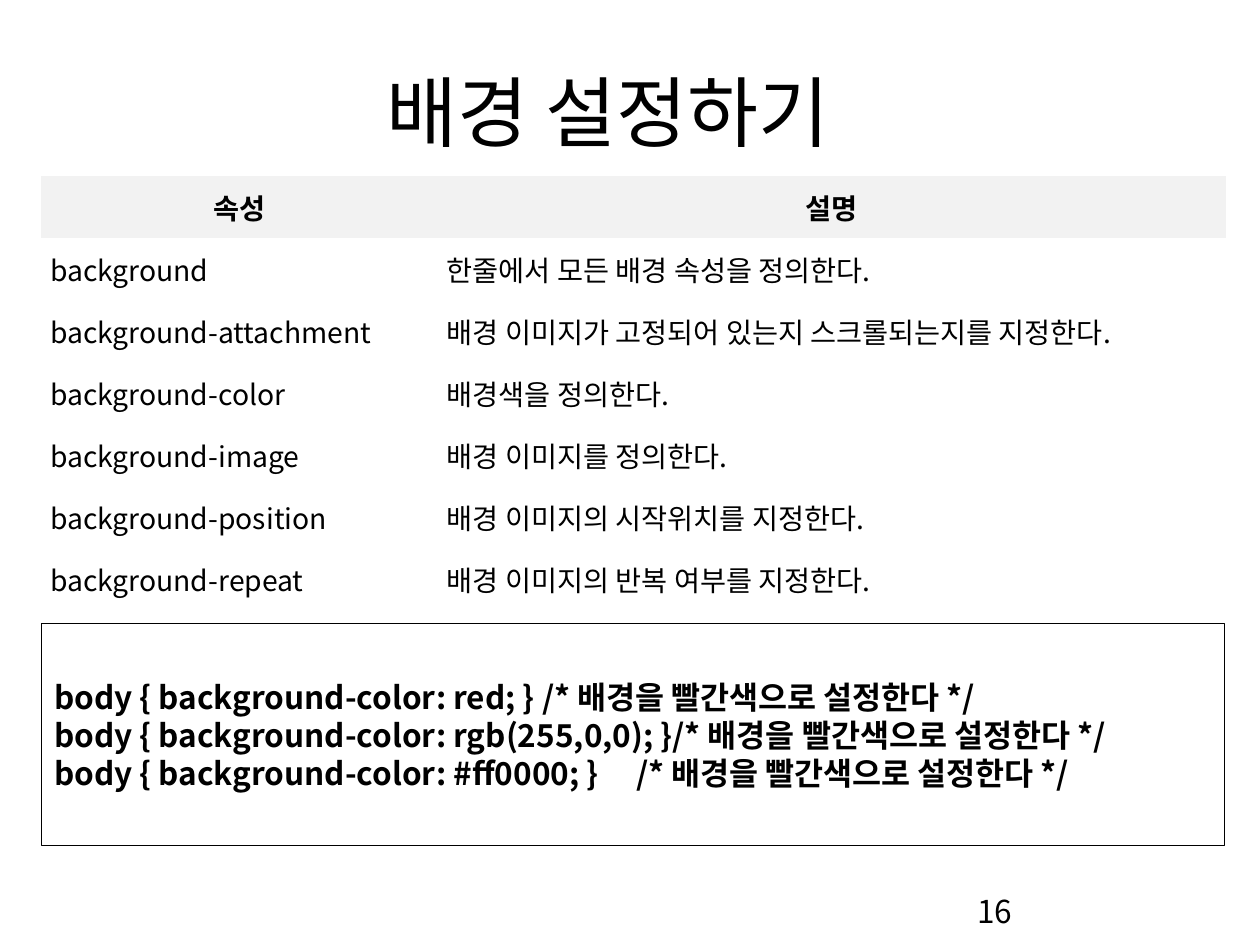
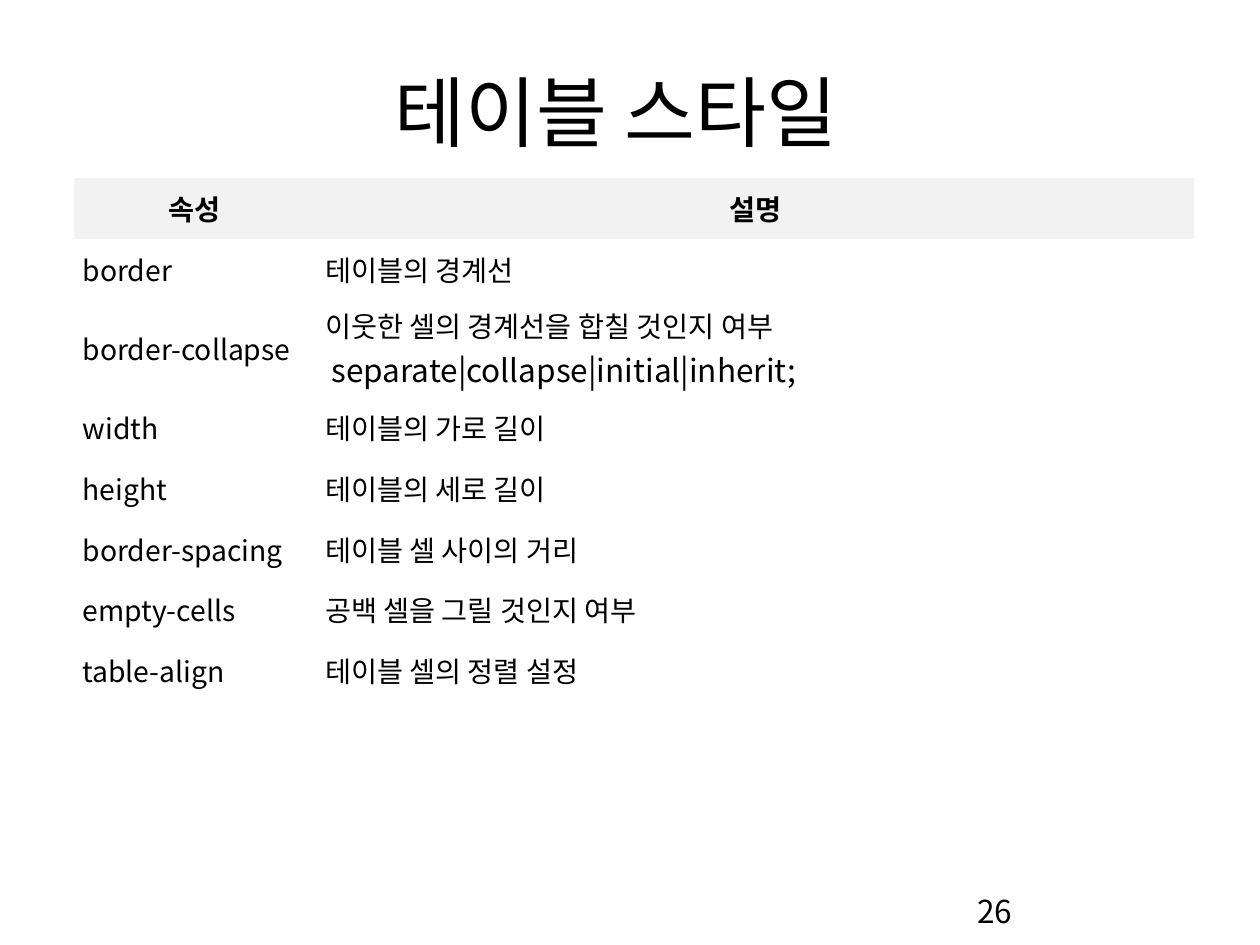
from dataclasses import dataclass

from lxml.etree import SubElement
from pptx import Presentation
from pptx.dml.color import RGBColor
from pptx.enum.shapes import MSO_SHAPE
from pptx.enum.text import MSO_ANCHOR as ANCHOR, PP_ALIGN as ALIGN
from pptx.oxml.ns import qn
from pptx.slide import Slide
from pptx.text.text import TextFrame
from pptx.util import Pt

FONT = "Noto Sans CJK KR"
COLORS = {"text": "000000", "header": "F2F2F2", "page": "FFFFFF"}
TITLE_SIZE, BODY_SIZE, CELL_SIZE = 57.2, 23.4, 21
TWO_LINE_HEIGHT = 72
NO_STYLE = "{2D5ABB26-0587-4C30-8999-92F81FD0307C}"
HEADER = ("속성", "설명")


@dataclass(frozen=True)
class Box:
    left: float
    top: float
    width: float
    height: float

    def emu(self) -> tuple[int, ...]:
        return tuple(Pt(v) for v in (self.left, self.top, self.width, self.height))


@dataclass(frozen=True)
class Run:
    text: str
    size: float = CELL_SIZE
    bold: bool = False


Lines = list[list[Run]]


@dataclass(frozen=True)
class PropertyTable:
    left: float
    top: float
    widths: tuple[float, float]
    row_height: float
    rows: list[tuple[str, str | Lines]]


@dataclass(frozen=True)
class Page:
    title: str
    number: int
    table: PropertyTable
    code: tuple[str, ...] = ()


TITLE_BOX = Box(75.6, 43.4, 763.9, 77.8)
NUMBER_BOX = Box(718.4, 658.3, 193, 43)
CODE_BOX = Box(30.8, 462.8, 878.2, 164.8)

PAGES = [
    Page(
        "배경 설정하기 ",
        16,
        PropertyTable(30.6, 130.5, (294.5, 584.6), 46.1, [
            ("background", "한줄에서 모든 배경 속성을 정의한다."),
            ("background-attachment", "배경 이미지가 고정되어 있는지 스크롤되는지를 지정한다."),
            ("background-color", "배경색을 정의한다."),
            ("background-image", "배경 이미지를 정의한다."),
            ("background-position", "배경 이미지의 시작위치를 지정한다."),
            ("background-repeat", "배경 이미지의 반복 여부를 지정한다."),
        ]),
        (
            "body { background-color: red; } /* 배경을 빨간색으로 설정한다 */",
            "body { background-color: rgb(255,0,0); }/* 배경을 빨간색으로 설정한다 */",
            "body { background-color: #ff0000; }\t/* 배경을 빨간색으로 설정한다 */",
        ),
    ),
    Page(
        "테이블 스타일",
        26,
        PropertyTable(54.7, 131.8, (180, 651.6), 45.2, [
            ("border", "테이블의 경계선"),
            ("border-collapse", [
                [Run("이웃한 셀의 경계선을 합칠 것인지 여부")],
                [Run(" "), Run("separate|collapse|initial|inherit;", BODY_SIZE)],
            ]),
            ("width", "테이블의 가로 길이"),
            ("height", "테이블의 세로 길이"),
            ("border-spacing", "테이블 셀 사이의 거리"),
            ("empty-cells", "공백 셀을 그릴 것인지 여부"),
            ("table-align", "테이블 셀의 정렬 설정"),
        ]),
    ),
]


def rgb(name: str) -> RGBColor:
    return RGBColor.from_string(COLORS[name])


def write(tf: TextFrame, lines: Lines, align: ALIGN) -> None:
    for i, line in enumerate(lines):
        p = tf.add_paragraph() if i else tf.paragraphs[0]
        p.alignment = align
        for run in line:
            r = p.add_run()
            r.text = run.text
            r.font.size = Pt(run.size)
            r.font.bold = run.bold
            r.font.color.rgb = rgb("text")
            r.font.name = FONT
            SubElement(r.font._element, qn("a:ea"), typeface=FONT)


def add_text(slide: Slide, box: Box, run: Run, align: ALIGN, anchor: ANCHOR) -> None:
    tf = slide.shapes.add_textbox(*box.emu()).text_frame
    tf.word_wrap = True
    tf.vertical_anchor = anchor
    write(tf, [[run]], align)


def add_property_table(slide: Slide, data: PropertyTable) -> None:
    rows = [HEADER, *data.rows]
    heights = [data.row_height if isinstance(text, str) else TWO_LINE_HEIGHT
               for _, text in rows]
    box = Box(data.left, data.top, sum(data.widths), sum(heights))
    frame = slide.shapes.add_table(len(rows), len(HEADER), *box.emu())
    table = frame.table
    table.first_row = table.horz_banding = False
    for style in frame.element.iter(qn("a:tableStyleId")):
        style.text = NO_STYLE
    for column, width in zip(table.columns, data.widths):
        column.width = Pt(width)
    for i, (row, height) in enumerate(zip(rows, heights)):
        table.rows[i].height = Pt(height)
        is_header = i == 0
        for j, content in enumerate(row):
            cell = table.cell(i, j)
            cell.vertical_anchor = ANCHOR.MIDDLE
            cell.margin_left = cell.margin_right = Pt(6.6)
            cell.margin_top = cell.margin_bottom = Pt(3.4)
            if is_header:
                cell.fill.solid()
                cell.fill.fore_color.rgb = rgb("header")
            else:
                cell.fill.background()
            lines = [[Run(content, bold=is_header)]] if isinstance(content, str) else content
            write(cell.text_frame, lines, ALIGN.CENTER if is_header else ALIGN.JUSTIFY)


def add_code(slide: Slide, code: tuple[str, ...]) -> None:
    sp = slide.shapes.add_shape(MSO_SHAPE.RECTANGLE, *CODE_BOX.emu())
    sp.shadow.inherit = False
    sp.fill.background()
    sp.line.color.rgb = rgb("text")
    sp.line.width = Pt(0)
    tf = sp.text_frame
    tf.word_wrap = True
    tf.vertical_anchor = ANCHOR.MIDDLE
    tf.margin_left = tf.margin_right = Pt(9.4)
    tf.margin_top = tf.margin_bottom = Pt(4.7)
    write(tf, [[Run(line, BODY_SIZE, True)] for line in code], ALIGN.LEFT)


def add_page(prs: Presentation, page: Page) -> None:
    slide = prs.slides.add_slide(prs.slide_layouts[6])
    slide.background.fill.solid()
    slide.background.fill.fore_color.rgb = rgb("page")
    add_text(slide, TITLE_BOX, Run(page.title, TITLE_SIZE), ALIGN.CENTER, ANCHOR.MIDDLE)
    add_property_table(slide, page.table)
    if page.code:
        add_code(slide, page.code)
    add_text(slide, NUMBER_BOX, Run(str(page.number), BODY_SIZE), ALIGN.LEFT, ANCHOR.TOP)


def main() -> None:
    prs = Presentation()
    prs.slide_width, prs.slide_height = Pt(935.3), Pt(701.3)
    for page in PAGES:
        add_page(prs, page)
    prs.save("out.pptx")


if __name__ == "__main__":
    main()
